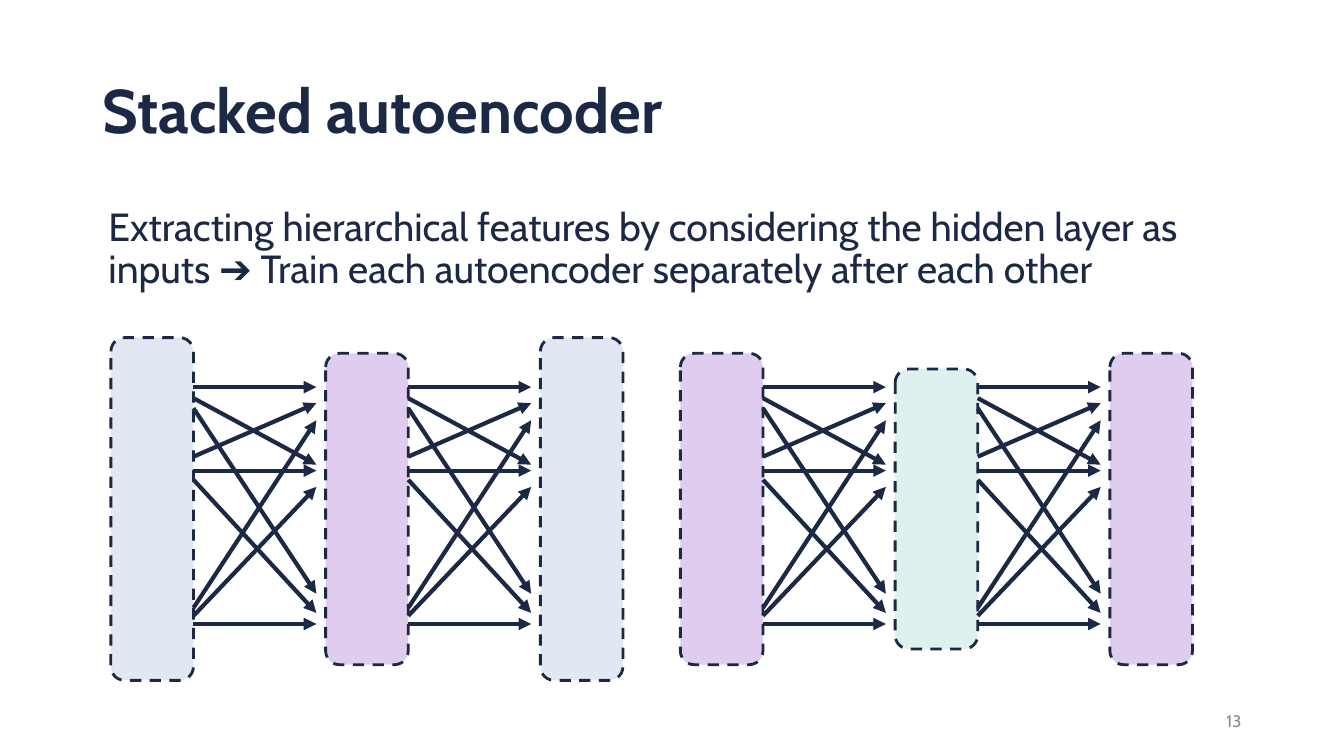
from dataclasses import dataclass

from lxml import etree
from pptx import Presentation
from pptx.dml.color import RGBColor
from pptx.enum.dml import MSO_LINE
from pptx.enum.shapes import MSO_CONNECTOR, MSO_SHAPE
from pptx.enum.text import MSO_ANCHOR, MSO_AUTO_SIZE, PP_ALIGN
from pptx.oxml.ns import qn
from pptx.util import Pt

DASH = MSO_LINE.DASH
STRAIGHT = MSO_CONNECTOR.STRAIGHT
ROUNDED = MSO_SHAPE.ROUNDED_RECTANGLE
TOP, MIDDLE = MSO_ANCHOR.TOP, MSO_ANCHOR.MIDDLE
NO_AUTOFIT = MSO_AUTO_SIZE.NONE
LEFT, RIGHT = PP_ALIGN.LEFT, PP_ALIGN.RIGHT


@dataclass(frozen=True)
class Theme:
    font: str = "Cabin"
    ink: str = "1B2944"
    muted: str = "898B91"
    input_layer: str = "E1E7F3"
    first_hidden: str = "DFCCEE"
    second_hidden: str = "DFF1EF"
    title_size: float = 44
    body_size: float = 28
    number_size: float = 12
    border_width: float = 2
    arrow_width: float = 3


THEME = Theme()

LAYER_WIDTH = 59
LAYER_PITCH = 153.4
ARROW_LENGTH = 87.8
INPUT_HEIGHT, FIRST_HEIGHT, SECOND_HEIGHT = 244.8, 222.4, 200

# Start and end heights of each arrow, measured from the layers' centre line
ARROW_OFFSETS = [
    (-87.1, -87.1), (-79.2, -31.7), (-72, 60.5),
    (-37.4, -75.6), (-27.4, -27.4), (-20.9, 74.2),
    (70.6, -63.4), (76.3, -15.8), (82.1, 82.1),
]


def write_text(shape, box, text, size, color, anchor=TOP, align=LEFT,
               bold=False, spacing=1.0, indent=0):
    """Place a text shape in its box and format its single paragraph."""
    shape.left, shape.top, shape.width, shape.height = map(Pt, box)
    frame = shape.text_frame
    frame.text = text
    frame.word_wrap = True
    frame.auto_size = NO_AUTOFIT
    frame.vertical_anchor = anchor
    frame.margin_left, frame.margin_right = Pt(7.2 + indent), Pt(7.2)
    frame.margin_top = frame.margin_bottom = Pt(3.6)
    paragraph = frame.paragraphs[0]
    paragraph.alignment = align
    paragraph.line_spacing = spacing
    for run in paragraph.runs:
        run.font.name = THEME.font
        run.font.size = Pt(size)
        run.font.bold = bold
        run.font.color.rgb = RGBColor.from_string(color)


def add_layer(slide, left, middle, height, color):
    layer = slide.shapes.add_shape(
        ROUNDED, Pt(left), Pt(middle - height / 2), Pt(LAYER_WIDTH), Pt(height))
    layer.shadow.inherit = False
    layer.fill.solid()
    layer.fill.fore_color.rgb = RGBColor.from_string(color)
    layer.line.color.rgb = RGBColor.from_string(THEME.ink)
    layer.line.width = Pt(THEME.border_width)
    layer.line.dash_style = DASH


def add_arrow(slide, start_x, start_y, end_x, end_y):
    arrow = slide.shapes.add_connector(
        STRAIGHT, Pt(start_x), Pt(start_y), Pt(end_x), Pt(end_y))
    arrow.line.color.rgb = RGBColor.from_string(THEME.ink)
    arrow.line.width = Pt(THEME.arrow_width)
    line = arrow.line._get_or_add_ln()
    etree.SubElement(line, qn("a:tailEnd"), type="triangle")
    etree.SubElement(arrow._element.spPr, qn("a:effectLst"))


def add_autoencoder(slide, box, outer_color, hidden_height, hidden_color):
    """Draw outer, hidden and outer layers joined by two fans of arrows."""
    left, top, height = box
    middle = top + height / 2
    layers = [(height, outer_color), (hidden_height, hidden_color),
              (height, outer_color)]
    for index, (layer_height, color) in enumerate(layers):
        add_layer(slide, left + index * LAYER_PITCH, middle, layer_height, color)
    for index in range(len(layers) - 1):
        start_x = left + index * LAYER_PITCH + LAYER_WIDTH
        for start, end in ARROW_OFFSETS:
            add_arrow(slide, start_x, middle + start,
                      start_x + ARROW_LENGTH, middle + end)


def build_autoencoder_slide(presentation):
    slide = presentation.slides.add_slide(presentation.slide_layouts[5])
    write_text(slide.shapes.title, (66, 28.8, 828, 104.4), "Stacked autoencoder",
               THEME.title_size, THEME.ink, anchor=MIDDLE, bold=True, spacing=0.9)
    body = slide.shapes.add_textbox(0, 0, 0, 0)
    write_text(body, (66, 144.7, 828, 80),
               "Extracting hierarchical features by considering the hidden layer "
               "as inputs ➔ Train each autoencoder separately after each other",
               THEME.body_size, THEME.ink, spacing=0.9, indent=4.3)
    add_autoencoder(slide, (79.2, 241.2, INPUT_HEIGHT), THEME.input_layer,
                    FIRST_HEIGHT, THEME.first_hidden)
    add_autoencoder(slide, (486, 252.4, FIRST_HEIGHT), THEME.first_hidden,
                    SECOND_HEIGHT, THEME.second_hidden)
    number = slide.shapes.add_textbox(0, 0, 0, 0)
    write_text(number, (678, 500.4, 216, 28.8), "13", THEME.number_size,
               THEME.muted, anchor=MIDDLE, align=RIGHT)


def main():
    presentation = Presentation()
    presentation.slide_width, presentation.slide_height = Pt(960), Pt(540)
    build_autoencoder_slide(presentation)
    presentation.save("out.pptx")


if __name__ == "__main__":
    main()
